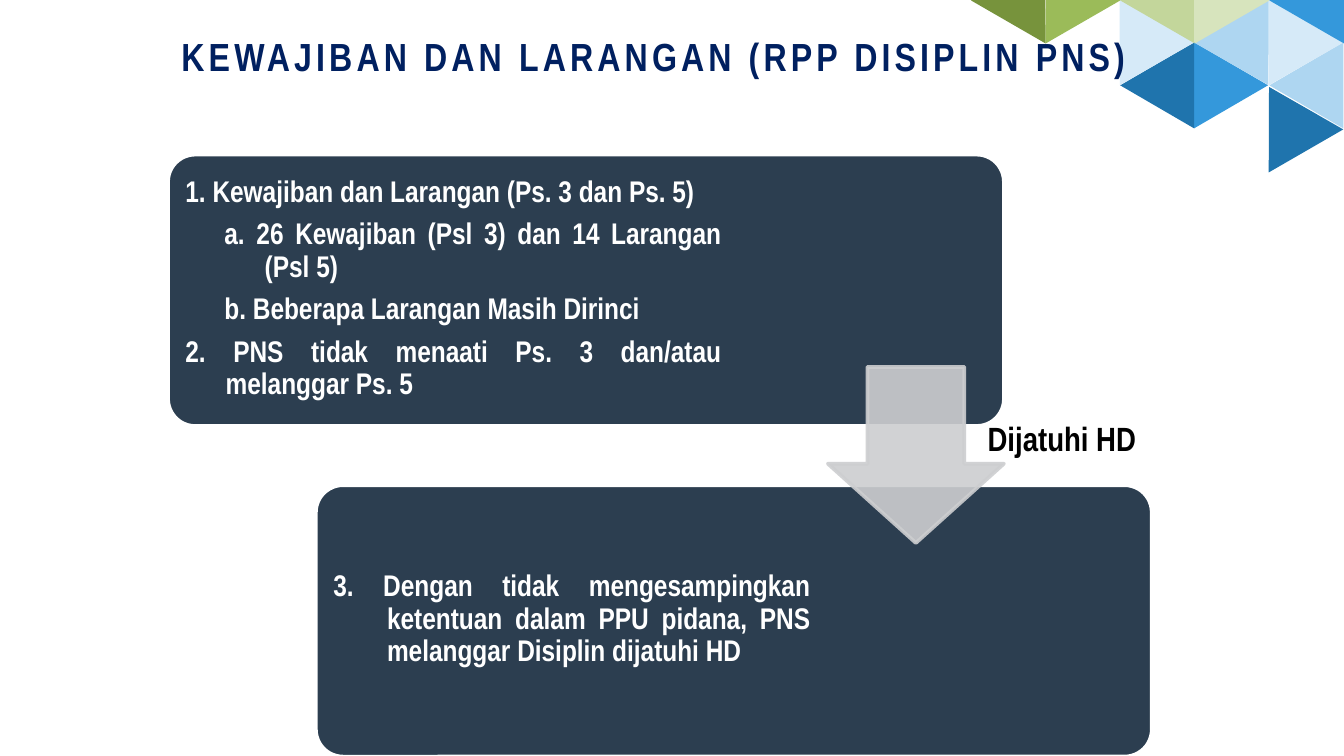
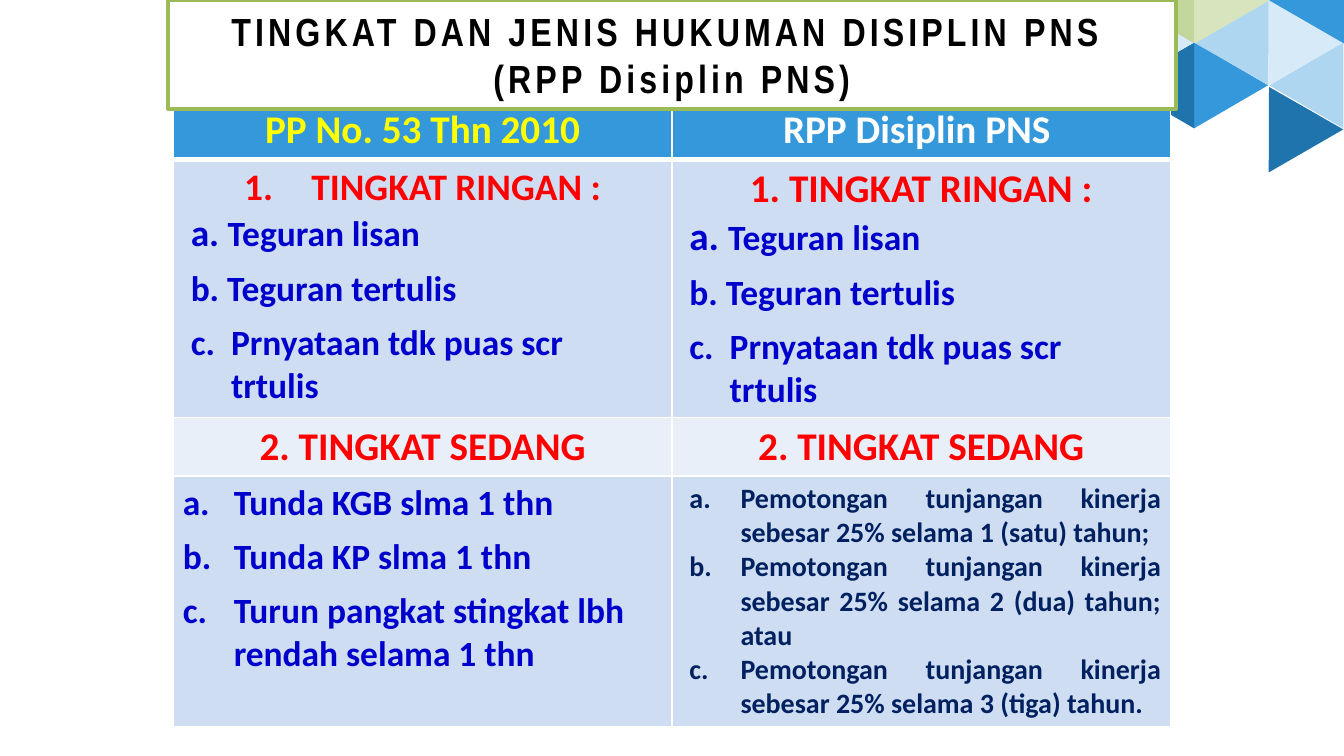
from lxml import etree
from pptx import Presentation
from pptx.dml.color import RGBColor
from pptx.enum.shapes import MSO_SHAPE
from pptx.enum.text import MSO_ANCHOR, MSO_AUTO_SIZE, PP_ALIGN
from pptx.oxml.ns import qn
from pptx.util import Inches, Pt

LEFT, MID, FULL = PP_ALIGN.LEFT, PP_ALIGN.CENTER, PP_ALIGN.JUSTIFY
CENTER, TOP = MSO_ANCHOR.MIDDLE, MSO_ANCHOR.TOP
FIXED = MSO_AUTO_SIZE.NONE
RECT, ARROW = MSO_SHAPE.ROUNDED_RECTANGLE, MSO_SHAPE.DOWN_ARROW
FACET = MSO_SHAPE.ISOSCELES_TRIANGLE

NARROW, BODY = "Arial Narrow", "Calibri"
WHITE, BLACK, NAVY, SLATE = "FFFFFF", "000000", "002060", "2C3E50"
SKY, DEEP, PALE, MIST = "3498DB", "1F74AD", "AED6F1", "D6EAF8"
GREEN, MOSS, LIME, CREAM = "9BBB59", "77933C", "C3D69B", "D7E4BD"
GREY, RED, BLUE, YELLOW = "CDCED0", "FF0000", "0000CC", "FFFF00"
TINT, LIGHT = "CEDDF1", "E8EFF8"

FACETS = [
    (9.26, 0.61, 330, DEEP), (9.4, 0.36, 270, PALE),
    (9.26, 0.12, 210, MIST), (8.84, 0.36, 90, SKY),
    (8.98, 0.12, 150, PALE), (8.29, 0.36, 270, DEEP),
    (8.15, 0.12, 210, MIST), (8.43, -0.35, 30, LIME),
    (8.71, -0.35, 330, CREAM), (7.32, -0.35, 30, MOSS),
    (7.6, -0.35, 330, GREEN), (9.54, -0.35, 30, SKY),
]


def color(code):
    return RGBColor.from_string(code)


def place(box):
    return [Inches(v) for v in box]


def para(*runs, align=LEFT, left=0, first=0, num=None, before=0):
    return dict(runs=runs, align=align, left=left, first=first,
                num=num, before=before)


def write(frame, paras, face, lead=None, after=None, track=None):
    for i, item in enumerate(paras):
        p = frame.paragraphs[0] if i == 0 else frame.add_paragraph()
        props = p._p.get_or_add_pPr()
        props.set("marL", str(Inches(item["left"])))
        props.set("indent", str(Inches(item["first"])))
        if item["num"]:
            etree.SubElement(props, qn("a:buAutoNum"), type=item["num"])
        p.alignment = item["align"]
        p.space_before = Pt(item["before"])
        if lead:
            p.line_spacing = lead
        if after:
            p.space_after = Pt(after)
        for text, size, code in item["runs"]:
            r = p.add_run()
            r.text = text
            r.font.name = face
            r.font.size = Pt(size)
            r.font.bold = True
            r.font.color.rgb = color(code)
            if track:
                r._r.get_or_add_rPr().set("spc", str(track))


def inset(part, side, ends):
    part.margin_left = part.margin_right = Inches(side)
    part.margin_top = part.margin_bottom = Inches(ends)


def shape(shapes, kind, box, fill, line=None):
    s = shapes.add_shape(kind, *place(box))
    s.shadow.inherit = False
    s.fill.solid()
    s.fill.fore_color.rgb = color(fill)
    if line:
        s.line.color.rgb = color(line)
        s.line.width = Pt(2)
    else:
        s.line.fill.background()
    return s


def label(slide, box, paras, pad, anchor, wrap=True, **look):
    frame = slide.shapes.add_textbox(*place(box)).text_frame
    frame.word_wrap = wrap
    frame.vertical_anchor = anchor
    if pad:
        inset(frame, pad, pad)
    write(frame, paras, NARROW, **look)


def corner(slide, layout):
    group = slide.shapes.add_group_shape()
    for x, y, turn, fill in FACETS:
        shape(group.shapes, FACET, (x, y, 0.64, 0.55), fill).rotation = turn
    layout.shapes._spTree.insert(2, group._element)


def title(slide, box, lines, code, align):
    head = slide.shapes.title
    head.left, head.top, head.width, head.height = place(box)
    frame = head.text_frame
    frame.word_wrap = True
    frame.auto_size = FIXED
    frame.vertical_anchor = CENTER
    inset(frame, 0.1, 0.05)
    paras = [para((line, 21, code), align=align) for line in lines]
    write(frame, paras, NARROW, track=220)
    return head


def panel(slide, box, width, paras):
    x, y, _, high = box
    shape(slide.shapes, RECT, box, SLATE, WHITE).adjustments[0] = 0.1
    inner = (x + 0.06, y + 0.05, width, high - 0.12)
    label(slide, inner, paras, 0.07, CENTER, lead=0.9, after=5.6)


def arrow(slide, box):
    s = shape(slide.shapes, ARROW, box, GREY, GREY)
    s.adjustments[0] = 0.55
    s.adjustments[1] = 0.45
    for tone in s._element.spPr.iter(qn("a:srgbClr")):
        etree.SubElement(tone, qn("a:alpha"), val="90000")


def duties(slide, box):
    x, y, wide, high = box
    title(slide, (x, 0.19, 7.5, 0.45),
          ["KEWAJIBAN DAN LARANGAN (RPP DISIPLIN PNS)"], NAVY, LEFT)
    rules = [
        ("1. Kewajiban dan Larangan (Ps. 3 dan Ps. 5)", 0, 0),
        ("a. 26 Kewajiban (Psl 3) dan 14 Larangan (Psl 5)", 0.59, -0.3),
        ("b. Beberapa Larangan Masih Dirinci", 0.59, -0.3),
        ("2. PNS tidak menaati Ps. 3 dan/atau melanggar Ps. 5", 0.3, -0.3),
    ]
    ends = [("3. Dengan tidak mengesampingkan ketentuan dalam PPU pidana, "
             "PNS melanggar Disiplin dijatuhi HD", 0.4, -0.4)]
    parts = [(0, 0, 4.13, rules), (1.1, 2.46, 3.69, ends)]
    for dx, dy, width, items in parts:
        paras = [para((text, 16, WHITE), align=FULL, left=left, first=first)
                 for text, left, first in items]
        panel(slide, (x + dx, y + dy, wide, high), width, paras)
    arrow(slide, (x + 4.91, y + 1.58, 1.31, 1.31))
    label(slide, (x + 6, y + 1.91, 1.32, 0.4),
          [para(("Dijatuhi HD", 18, BLACK))], None, TOP, wrap=False)


def border(cell, low):
    props = cell._tc.get_or_add_tcPr()
    for side in "LRTB":
        width = Pt(low if side == "B" else 1)
        line = etree.SubElement(props, qn("a:ln" + side), w=str(width))
        fill = etree.SubElement(line, qn("a:solidFill"))
        etree.SubElement(fill, qn("a:srgbClr"), val=WHITE)


def heading(text, code=RED, size=21, **form):
    return [para((text, size, code), align=MID, **form)]


def mild(size):
    return [
        para(("a. ", size, BLUE), ("Teguran lisan", 19, BLUE), left=0.06),
        para(("b. Teguran tertulis", 19, BLUE), left=0.06, before=6),
        para(("c.\tPrnyataan tdk puas scr", 19, BLUE),
             left=0.36, first=-0.3, before=6),
        para(("trtulis", 19, BLUE), left=0.36),
    ]


def levels(slide, box):
    x, y, wide, high = box
    delays = ["Tunda KGB slma 1 thn", "Tunda KP slma 1 thn",
              "Turun pangkat stingkat lbh rendah selama 1 thn"]
    cuts = ["1 (satu) tahun;", "2 (dua) tahun; atau", "3 (tiga) tahun."]
    old = [para((text, 19, BLUE), left=0.38, first=-0.38,
                num="alphaLcPeriod", before=6 if i else 0)
           for i, text in enumerate(delays)]
    new = [para(("Pemotongan tunjangan kinerja sebesar 25% selama " + term,
                 15, NAVY), align=FULL, left=0.44, first=-0.38,
                num="alphaLcPeriod")
           for term in cuts]
    first = heading("TINGKAT RINGAN :", size=20, left=0.5, first=-0.5,
                    num="arabicPeriod")
    second = heading("2. TINGKAT SEDANG")
    rows = [
        (0.43, SKY, 3, heading("PP No. 53 Thn 2010", YELLOW),
         heading("RPP Disiplin PNS ", WHITE)),
        (1.86, TINT, 1, first + mild(20),
         heading("1. TINGKAT RINGAN :") + mild(21)),
        (0.43, LIGHT, 1, second, second),
        (1.83, TINT, 1, old, new),
    ]
    grid = slide.shapes.add_table(len(rows), 2, *place(box)).table
    grid.horz_banding = False
    for col in grid.columns:
        col.width = Inches(wide / 2)
    for r, (tall, fill, low, *cells) in enumerate(rows):
        grid.rows[r].height = Inches(tall)
        for c, paras in enumerate(cells):
            cell = grid.cell(r, c)
            inset(cell, 0.07, 0.04)
            border(cell, low)
            cell.fill.solid()
            cell.fill.fore_color.rgb = color(fill)
            write(cell.text_frame, paras, BODY)
    head = title(slide, (x - 0.04, 0, 7.5, 0.81),
                 ["TINGKAT DAN JENIS HUKUMAN DISIPLIN PNS ",
                  "(RPP Disiplin PNS)"], BLACK, MID)
    head.fill.solid()
    head.fill.fore_color.rgb = color(WHITE)
    head.line.color.rgb = color(GREEN)
    head.line.width = Pt(2)
    slide.shapes._spTree.append(head._element)


def main():
    deck = Presentation()
    deck.slide_width = Inches(10)
    deck.slide_height = deck.slide_width * 9 // 16
    layout = deck.slide_layouts[5]
    one = deck.slides.add_slide(layout)
    corner(one, layout)
    duties(one, (1.25, 1.15, 6.22, 2.02))
    two = deck.slides.add_slide(layout)
    levels(two, (1.29, 0.75, 7.42, 4.58))
    deck.save("out.pptx")


if __name__ == "__main__":
    main()
